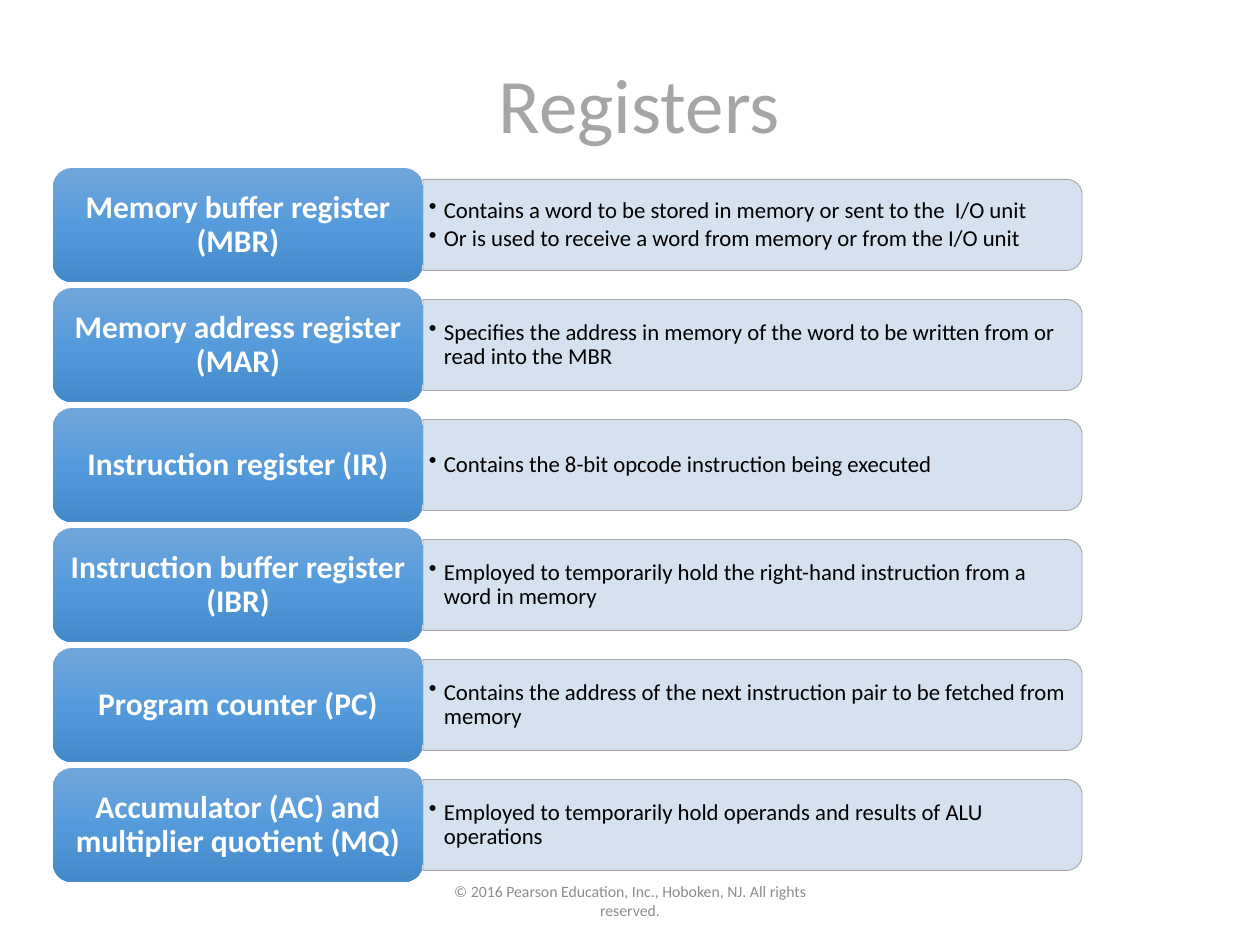
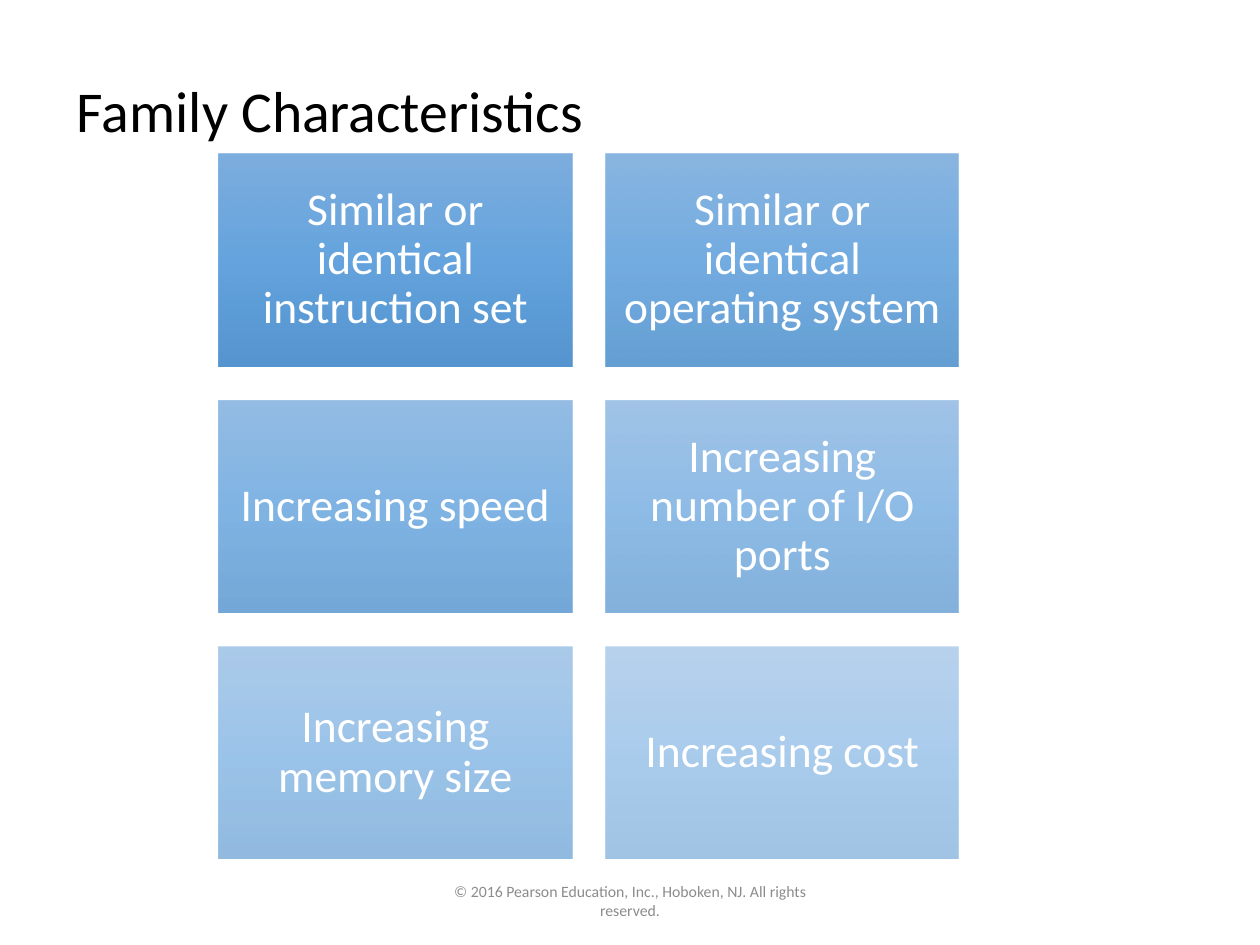
from lxml import etree
from pptx import Presentation
from pptx.dml.color import RGBColor
from pptx.enum.shapes import MSO_SHAPE
from pptx.enum.text import MSO_ANCHOR, MSO_AUTO_SIZE, PP_ALIGN
from pptx.oxml.ns import qn
from pptx.util import Pt

PX = 914400 / 126
FONT = "Calibri"
LEFT, CENTER, RIGHT = PP_ALIGN.LEFT, PP_ALIGN.CENTER, PP_ALIGN.RIGHT
MIDDLE = MSO_ANCHOR.MIDDLE
NO_FIT = MSO_AUTO_SIZE.NONE
RECT, ROUND_RECT = MSO_SHAPE.RECTANGLE, MSO_SHAPE.ROUNDED_RECTANGLE
ROUND_TOP = MSO_SHAPE.ROUND_2_SAME_RECTANGLE

BLACK, WHITE = "000000", "FFFFFF"
GRAY, FOOTER_GRAY = "A5A5A5", "8C8C8C"
BAND = "D2DEEF"
BLUES = [(0, "71A6DB"), (50, "559BDB"), (100, "448ACA")]
FOOTER = "© 2016 Pearson Education, Inc., Hoboken, NJ. All rights reserved."

REGISTERS = [
    ("Memory buffer register (MBR)",
     ["Contains a word to be stored in memory or sent to the  I/O unit",
      "Or is used to receive a word from memory or from the I/O unit"]),
    ("Memory address register (MAR)",
     ["Specifies the address in memory of the word to be written from or "
      "read into the MBR"]),
    ("Instruction register (IR)",
     ["Contains the 8-bit opcode instruction being executed"]),
    ("Instruction buffer register (IBR)",
     ["Employed to temporarily hold the right-hand instruction from a word "
      "in memory"]),
    ("Program counter (PC)",
     ["Contains the address of the next instruction pair to be fetched from "
      "memory"]),
    ("Accumulator (AC) and multiplier quotient (MQ)",
     ["Employed to temporarily hold operands and results of ALU operations"]),
]
CHARACTERISTICS = [
    "Similar or identical instruction set",
    "Similar or identical operating system",
    "Increasing speed",
    "Increasing number of I/O ports",
    "Increasing memory size",
    "Increasing cost",
]


def px(n):
    """Turn px into EMU."""
    return round(n * PX)


def emu(*lengths):
    """Turn several px lengths into EMU."""
    return [px(n) for n in lengths]


def rgb(color):
    """Return the colour for a hex string."""
    return RGBColor.from_string(color)


def set_alpha(color_el, percent):
    """Make a colour element partly transparent."""
    etree.SubElement(color_el, qn("a:alpha"), val=str(percent * 1000))


def add_bullet(p, indent):
    """Give a paragraph a hanging bullet."""
    pPr = p._p.get_or_add_pPr()
    pPr.set("marL", str(px(indent)))
    pPr.set("indent", str(-px(indent)))
    etree.SubElement(pPr, qn("a:buChar"), char="•")


def write(sp, lines, size, color, align=LEFT, bold=False, insets=(13, 6),
          spacing=0.9, gap=0, bullet=0):
    """Fill a shape with formatted paragraphs."""
    tf = sp.text_frame
    tf.word_wrap = True
    tf.auto_size = NO_FIT
    tf.vertical_anchor = MIDDLE
    tf.margin_left = tf.margin_right = px(insets[0])
    tf.margin_top = tf.margin_bottom = px(insets[1])
    for i, line in enumerate(lines):
        p = tf.add_paragraph() if i else tf.paragraphs[0]
        if bullet:
            add_bullet(p, bullet)
        p.alignment = align
        p.line_spacing = spacing
        if i:
            p.space_before = Pt(gap)
        r = p.add_run()
        r.text = line
        r.font.name = FONT
        r.font.size = Pt(size)
        r.font.bold = bold
        r.font.color.rgb = rgb(color)


def add_block(s, kind, box):
    """Add a preset shape without shadow or outline."""
    sp = s.shapes.add_shape(kind, *emu(*box))
    sp.shadow.inherit = False
    sp.line.fill.background()
    return sp


def fill_blue(sp, alpha=100):
    """Fill a shape with the vertical blue gradient."""
    sp.fill.gradient()
    sp.fill.gradient_angle = 270
    stops = sp._element.spPr.find(qn("a:gradFill")).find(qn("a:gsLst"))
    for stop in list(stops):
        stops.remove(stop)
    for pos, color in BLUES:
        stop = etree.SubElement(stops, qn("a:gs"), pos=str(pos * 1000))
        color_el = etree.SubElement(stop, qn("a:srgbClr"), val=color)
        if alpha < 100:
            set_alpha(color_el, alpha)


def add_slide(prs, title, box, size, color, align):
    """Add a slide with its title and the copyright footer."""
    s = prs.slides.add_slide(prs.slide_layouts[5])
    sp = s.shapes.title
    sp.left, sp.top, sp.width, sp.height = emu(*box)
    write(sp, [title], size, color, align)
    footer = s.shapes.add_textbox(*emu(417, 876, 426, 50))
    write(footer, [FOOTER], 9, FOOTER_GRAY, CENTER, spacing=1)
    return s


def add_register(s, box, name, notes):
    """Add one register: a blue label and a band with its notes."""
    x, y, w, h = box
    label_w, band_h = 370, 91
    band_x, band_w = x + label_w, w - label_w
    mid_x, mid_y = band_x + band_w / 2, y + h / 2
    band = add_block(s, ROUND_TOP, (mid_x - band_h / 2, mid_y - band_w / 2,
                                    band_h, band_w))
    band.rotation = 90
    band.fill.solid()
    band.fill.fore_color.rgb = rgb(BAND)
    set_alpha(band._element.spPr.find(qn("a:solidFill"))[0], 90)
    band.line.color.rgb = rgb(GRAY)
    band.line.width = Pt(0.5)
    text = s.shapes.add_textbox(*emu(band_x, mid_y - 41, band_w - 5, 82))
    write(text, notes, 13, BLACK, insets=(6, 4), gap=2, bullet=15)
    label = add_block(s, ROUND_RECT, (x, y, label_w, h))
    fill_blue(label)
    write(label, [name], 18, WHITE, CENTER, bold=True, insets=(9, 5))


def add_tiles(s, box, names, cols=2, gap=34):
    """Add a grid of blue tiles that fade from first to last."""
    x, y, w, h = box
    rows = len(names) // cols
    tile_w = (w - gap * (cols - 1)) / cols
    tile_h = (h - gap * (rows - 1)) / rows
    for i, name in enumerate(names):
        row, col = divmod(i, cols)
        tile = add_block(s, RECT, (x + col * (tile_w + gap),
                                   y + row * (tile_h + gap), tile_w, tile_h))
        fill_blue(tile, alpha=90 - 8 * i)
        write(tile, [name], 26, WHITE, CENTER, insets=(14, 14))


def registers_slide(prs):
    """Build the slide that lists the registers."""
    s = add_slide(prs, "Registers", (0, 32, 793, 154), 44, GRAY, RIGHT)
    for i, (name, notes) in enumerate(REGISTERS):
        add_register(s, (53, 168 + 120 * i, 1029, 114), name, notes)


def family_slide(prs):
    """Build the slide of family characteristics."""
    s = add_slide(prs, "Family Characteristics", (64, 37, 1041, 154), 33,
                  BLACK, LEFT)
    add_tiles(s, (219, 154, 740, 705), CHARACTERISTICS)


def main():
    """Build and save the presentation."""
    prs = Presentation()
    prs.slide_width, prs.slide_height = emu(1260, 945)
    registers_slide(prs)
    family_slide(prs)
    prs.save("out.pptx")


if __name__ == "__main__":
    main()
